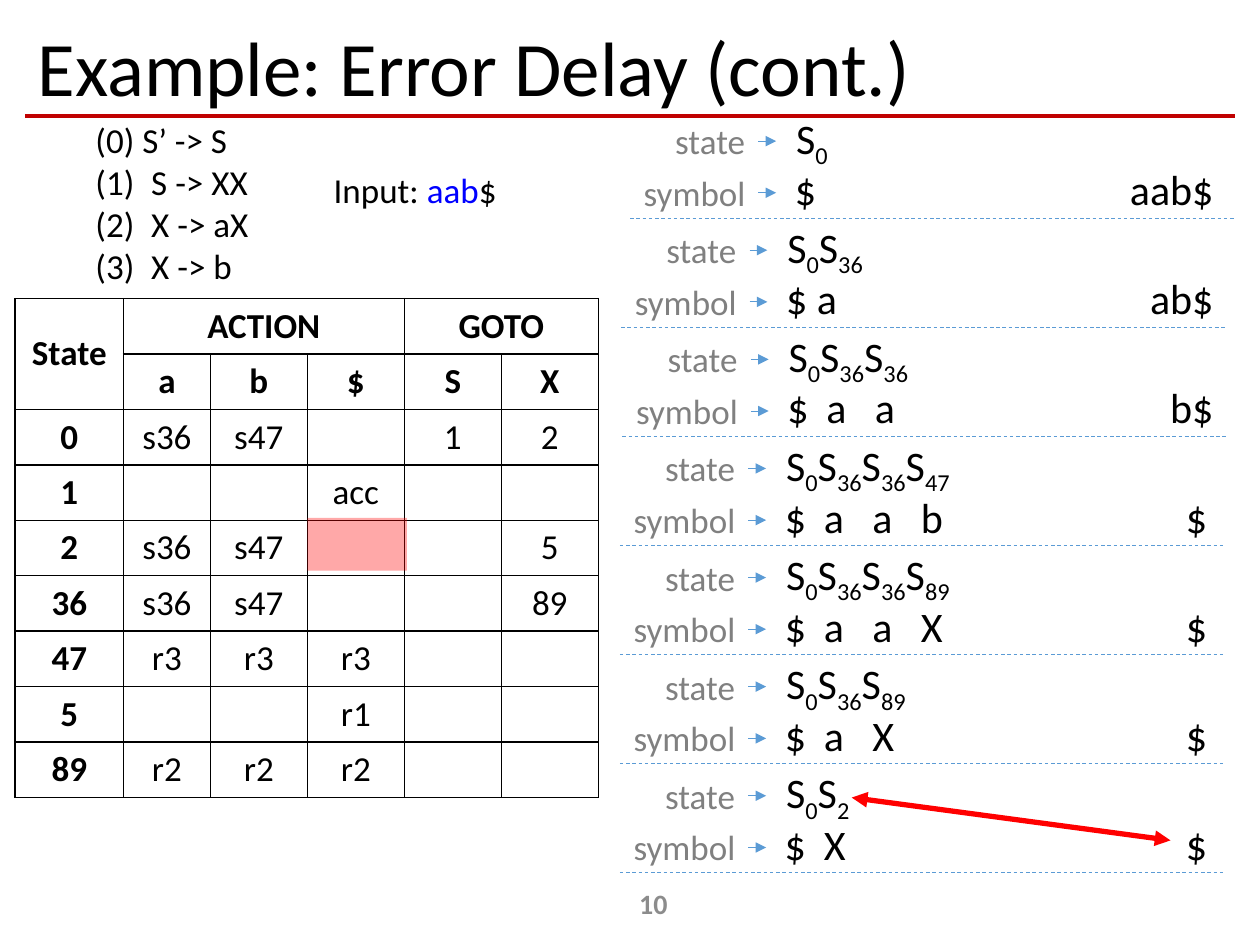
from pptx import Presentation
from pptx.dml.color import RGBColor
from pptx.enum import dml, shapes, text
from pptx.oxml import ns, xmlchemy
from pptx.util import Inches, Pt

COLORS = {"black": "000000", "rule": "C00000", "gray": "808080", "page": "8C8C8C",
          "input": "0000FF", "arrow": "5B9BD5", "error": "FF0000"}
ALIGN = text.PP_ALIGN
STEP_PITCH = 0.866
STEPS = [
    (5.00, 9.73, [0], "$", "aab$"),
    (4.93, 9.73, [0, 36], "$ a", "ab$"),
    (4.94, 9.73, [0, 36, 36], "$\ta\ta", "b$"),
    (4.92, 9.68, [0, 36, 36, 47], "$\ta\ta\tb", "$"),
    (4.92, 9.68, [0, 36, 36, 89], "$\ta\ta\tX", "$"),
    (4.92, 9.68, [0, 36, 89], "$\ta\tX", "$"),
    (4.92, 9.68, [0, 2], "$\tX", "$"),
]
COLUMNS = [0.86, 0.69, 0.77, 0.77, 0.77, 0.77]
PARSE_TABLE = [
    ["State", "ACTION", "", "", "GOTO", ""],
    ["", "a", "b", "$", "S", "X"],
    ["0", "s36", "s47", "", "1", "2"],
    ["1", "", "", "acc", "", ""],
    ["2", "s36", "s47", "", "", "5"],
    ["36", "s36", "s47", "", "", "89"],
    ["47", "r3", "r3", "r3", "", ""],
    ["5", "", "", "r1", "", ""],
    ["89", "r2", "r2", "r2", "", ""],
]


def rgb(name):
    """Return the named colour."""
    return RGBColor.from_string(COLORS[name])


def child(parent, tag, index=None, **attrs):
    """Add a drawing element with attributes to a parent element."""
    el = xmlchemy.OxmlElement(tag)
    for key, value in attrs.items():
        el.set(key, str(value))
    parent.insert(len(parent) if index is None else index, el)
    return el


def add_run(p, words, size=20, color="black", bold=False, subscript=False):
    """Append a formatted run to a paragraph."""
    r = p.add_run()
    r.text = words
    for key, value in {"name": "Calibri", "size": Pt(size), "bold": bold}.items():
        setattr(r.font, key, value)
    r.font.color.rgb = rgb(color)
    if subscript:
        r._r.get_or_add_rPr().set("baseline", "-25000")


def add_text(parent, box, words="", align=ALIGN.LEFT, anchor=text.MSO_ANCHOR.TOP, **style):
    """Place a text box and return its first paragraph."""
    tf = parent.add_textbox(*map(Inches, box)).text_frame
    for key, value in {"word_wrap": True, "vertical_anchor": anchor}.items():
        setattr(tf, key, value)
    p = tf.paragraphs[0]
    p.alignment = align
    if words:
        add_run(p, words, **style)
    return p


def add_line(parent, start, end, color, width, ends=(), dashed=False):
    """Draw a straight connector with optional arrowheads."""
    c = parent.add_connector(shapes.MSO_CONNECTOR.STRAIGHT, *map(Inches, (*start, *end)))
    c.line.color.rgb = rgb(color)
    c.line.width = Pt(width)
    if dashed:
        c.line.dash_style = dml.MSO_LINE.DASH
    for end_tag in ends:
        child(c.line._get_or_add_ln(), end_tag, type="triangle")
    child(c._element.spPr, "a:effectLst")


def add_title(s, x, y, w, h):
    """Place the title and the rule below it."""
    add_line(s.shapes, (x, y + h), (x + w, y + h), "rule", 2.5)
    add_text(s.shapes, (x, y, w, h), "Example: Error Delay (cont.)",
             anchor=text.MSO_ANCHOR.MIDDLE, size=44)


def add_grammar(s, x, y, w, h):
    """Place the numbered productions and the input string."""
    p = add_text(s.shapes, (x, y, w, h), "(0) S’ -> S")
    tf = p._parent
    for production in (" S -> XX", " X -> aX", " X -> b"):
        p = tf.add_paragraph()
        add_run(p, production)
        pPr = p._p.get_or_add_pPr()
        pPr.set("marL", str(Inches(0.38)))
        pPr.set("indent", str(-Inches(0.38)))
        child(pPr, "a:buFont", typeface="+mj-lt")
        child(pPr, "a:buAutoNum", type="arabicParenBoth")
    p = add_text(s.shapes, (x + 1.89, y + 0.4, 1.55, 0.44), "Input: ")
    add_run(p, "aab", color="input")
    add_run(p, "$")


def style_cell(cell, words, bold):
    """Fill in one table cell and draw its borders."""
    cell.vertical_anchor = text.MSO_ANCHOR.MIDDLE
    cell.fill.background()
    p = cell.text_frame.paragraphs[0]
    p.alignment = ALIGN.CENTER
    if words:
        add_run(p, words, bold=bold)
    for i, side in enumerate("LRTB"):
        ln = child(cell._tc.get_or_add_tcPr(), f"a:ln{side}", i, w=Pt(1))
        child(child(ln, "a:solidFill"), "a:srgbClr", val=COLORS["black"])


def add_parse_table(s, x, y, w, h):
    """Place the ACTION and GOTO table."""
    frame = s.shapes.add_table(len(PARSE_TABLE), len(COLUMNS), *map(Inches, (x, y, w, h)))
    table = frame.table
    table.first_row = table.horz_banding = False
    for column, width in zip(table.columns, COLUMNS):
        column.width = Inches(width)
    for row in table.rows:
        row.height = Inches(h / len(PARSE_TABLE))
    for first, last in (((0, 0), (1, 0)), ((0, 1), (0, 3)), ((0, 4), (0, 5))):
        table.cell(*first).merge(table.cell(*last))
    for i, row in enumerate(PARSE_TABLE):
        for j, words in enumerate(row):
            style_cell(table.cell(i, j), words, bold=i < 2 or j == 0)


def add_step(s, x, y, right, states, symbols, remaining):
    """Place one parser step: state stack, symbol stack and remaining input."""
    parts = s.shapes.add_group_shape().shapes
    for label, dx, dy, w in (("state", 0.26, 0.06, 0.78), ("symbol", 0.01, 0.47, 1.04)):
        add_text(parts, (x + dx, y + dy, w, 0.44), label, color="gray")
        arrow_y = y + dy + 0.22
        add_line(parts, (x + 1.02, arrow_y), (x + 1.16, arrow_y), "arrow", 0.5, ["a:tailEnd"])
    width = 0.24 + sum(0.155 + 0.115 * len(str(n)) for n in states)
    p = add_text(parts, (x + 1.22, y, width, 0.5))
    for n in states:
        add_run(p, "S", size=24)
        add_run(p, str(n), size=24, subscript=True)
    width = max(0.37 + 0.37 * symbols.count("\t"), 0.21 * len(symbols))
    p = add_text(parts, (x + 1.21, y + 0.41, width, 0.5), symbols, size=24)
    tabs = child(p._p.get_or_add_pPr(), "a:tabLst")
    for i in range(symbols.count("\t")):
        child(tabs, "a:tab", pos=Inches(0.31 + 0.385 * i), algn="l")
    add_text(parts, (right - 0.9, y + 0.41, 0.9, 0.5), remaining, ALIGN.RIGHT, size=24)
    add_line(parts, (x, y + 0.89), (x + 4.8, y + 0.89), "arrow", 0.5, dashed=True)


def add_error_marks(s, x, y, w, h):
    """Shade the empty table entry and link the last state to the input."""
    add_line(s.shapes, (6.76, 6.33), (9.29, 6.67), "error", 3, ["a:headEnd", "a:tailEnd"])
    sp = s.shapes.add_shape(shapes.MSO_SHAPE.RECTANGLE, *map(Inches, (x, y, w, h)))
    sp.shadow.inherit = False
    sp.fill.solid()
    sp.fill.fore_color.rgb = rgb("error")
    sp.line.fill.background()
    child(sp._element.spPr.find(".//" + ns.qn("a:srgbClr")), "a:alpha", val=34000)


def main():
    """Build and save the slide."""
    prs = Presentation()
    prs.slide_width, prs.slide_height = Inches(10), Inches(7.5)
    s = prs.slides.add_slide(prs.slide_layouts[6])
    add_title(s, 0.2, 0.13, 9.6, 0.79)
    add_text(s.shapes, (4.06, 6.97, 2.25, 0.4), "10", ALIGN.CENTER,
             text.MSO_ANCHOR.MIDDLE, size=16, color="page", bold=True)
    add_parse_table(s, 0.12, 2.37, sum(COLUMNS), 3.96)
    add_grammar(s, 0.66, 0.89, 1.5, 1.45)
    for i, (x, *step) in enumerate(STEPS):
        add_step(s, x, 0.84 + STEP_PITCH * i, *step)
    add_error_marks(s, 2.44, 4.11, 0.79, 0.42)
    prs.save("out.pptx")


if __name__ == "__main__":
    main()
